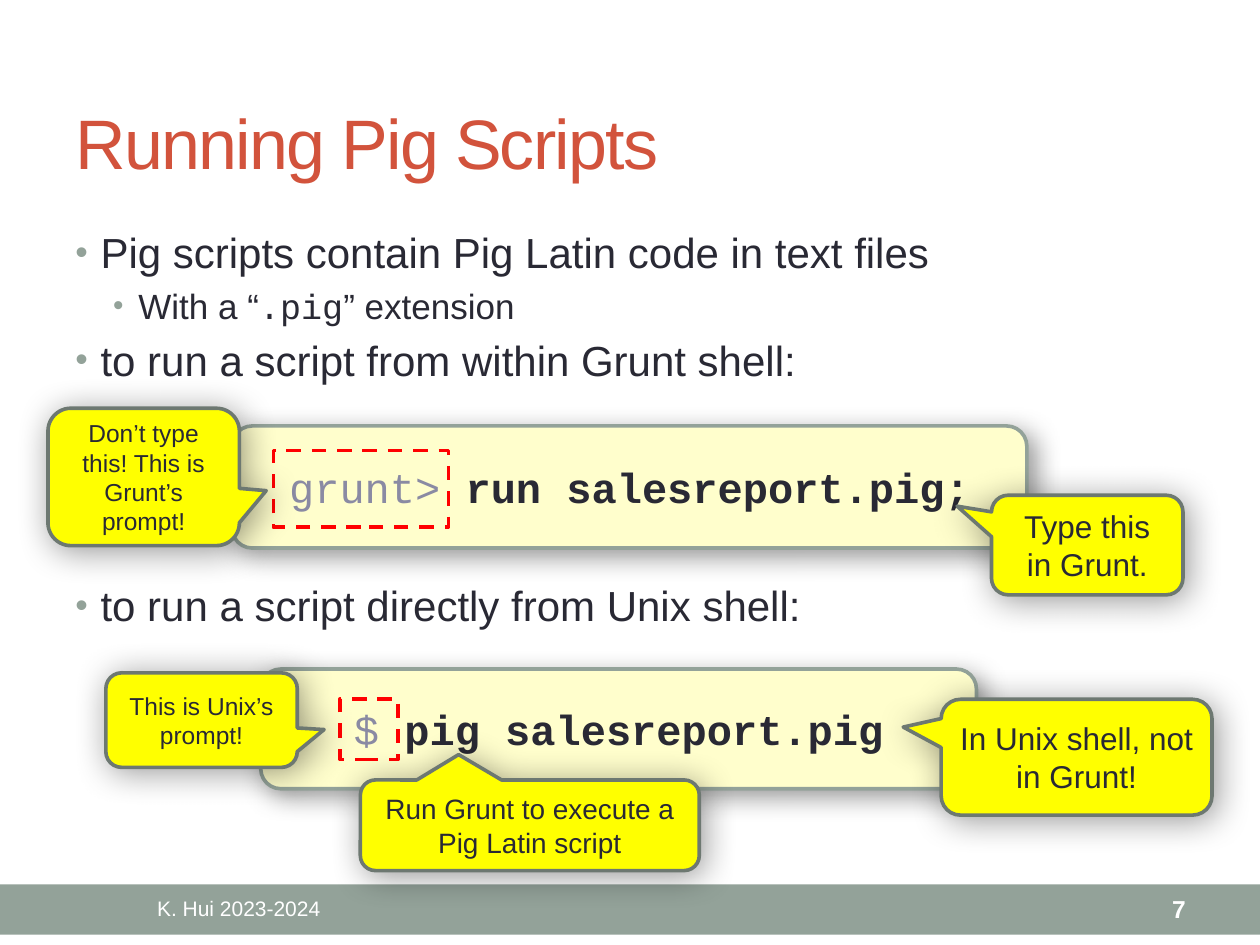
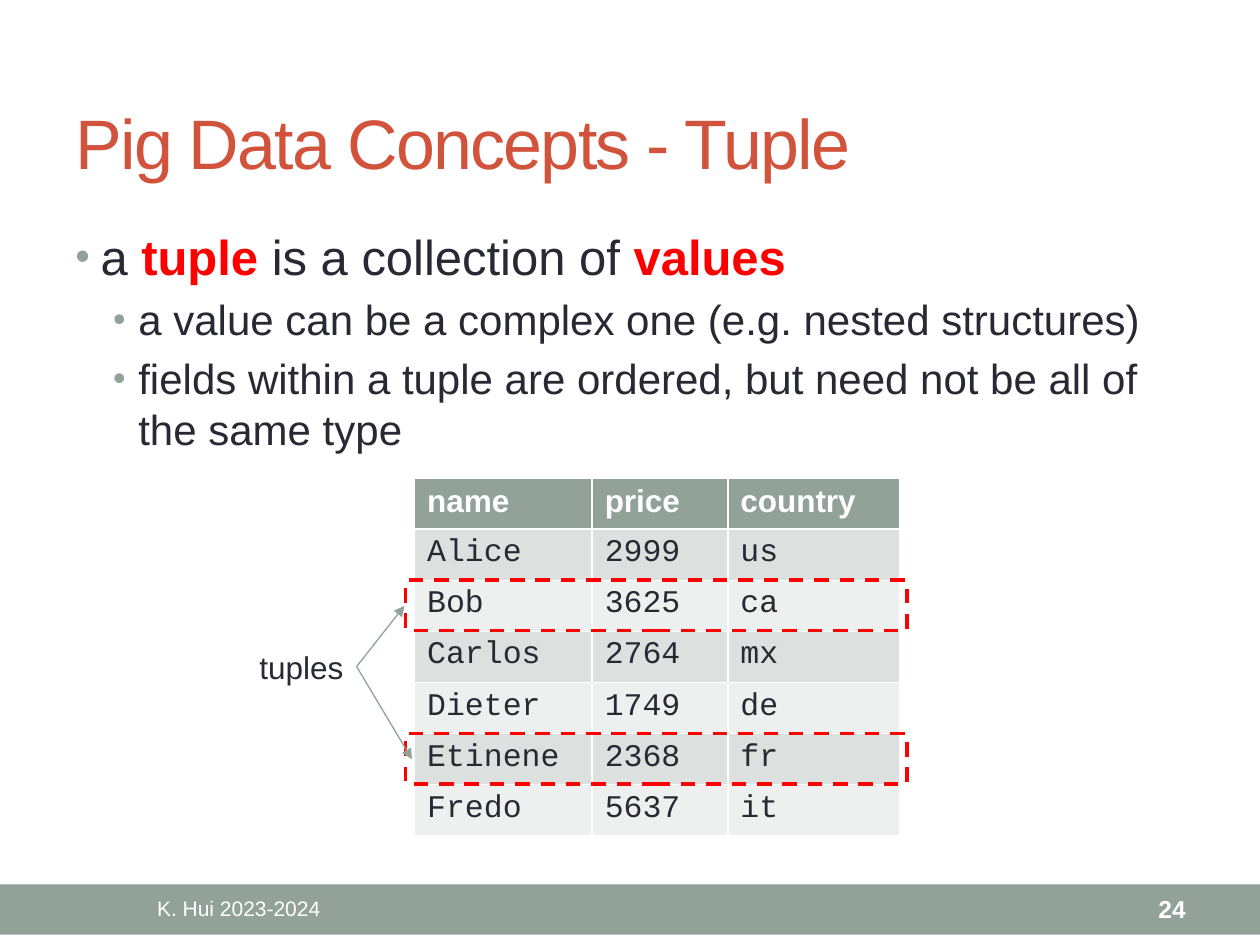
"""Build two lecture slides on running Pig scripts and on tuples."""
from dataclasses import dataclass

from lxml.etree import SubElement
from pptx import Presentation
from pptx.dml.color import RGBColor
from pptx.enum.dml import MSO_LINE
from pptx.enum.shapes import MSO_CONNECTOR, MSO_SHAPE
from pptx.enum.text import MSO_ANCHOR, PP_ALIGN
from pptx.oxml.ns import qn
from pptx.util import Pt


@dataclass(frozen=True)
class Theme:
    sans: str = "Arial"
    mono: str = "Courier New"
    ink: str = "292934"
    title: str = "D2533C"
    sage: str = "93A299"
    sage_dark: str = "6D7871"
    prompt: str = "8A8AA3"
    code_fill: str = "FFFECC"
    callout_fill: str = "FFFF00"
    alert: str = "FF0000"
    white: str = "FFFFFF"
    bands: tuple = ("DCE0DE", "EEF0EF")
    title_size: int = 40
    large_size: int = 28
    code_size: int = 24
    body_size: int = 24
    sub_size: int = 20
    label_size: int = 18
    note_size: int = 16
    small_size: int = 14
    footer_size: int = 12
    outline: float = 2.08
    hairline: float = 0.75


THEME = Theme()


def color(code):
    return RGBColor.from_string(code)


def points(*lengths):
    return [Pt(length) for length in lengths]


def style_font(font, size=None, ink=None, face=None, bold=None):
    if size:
        font.size = Pt(size)
    if ink:
        font.color.rgb = color(ink)
    if face:
        font.name = face
    if bold is not None:
        font.bold = bold


def write(paragraph, spans, size, ink=THEME.ink, face=THEME.sans, bold=False,
          align=PP_ALIGN.LEFT):
    """Fill a paragraph with plain strings or (string, font changes) pairs."""
    paragraph.alignment = align
    style_font(paragraph.font, size, ink, face, bold)
    for span in [spans] if isinstance(spans, str) else spans:
        words, changes = (span, {}) if isinstance(span, str) else span
        run = paragraph.add_run()
        run.text = words
        style_font(run.font, **changes)


def add_text(page, frame, spans, size, anchor=MSO_ANCHOR.MIDDLE, wrap=True, **style):
    box = page.shapes.add_textbox(*points(*frame))
    box.text_frame.word_wrap = wrap
    box.text_frame.vertical_anchor = anchor
    paragraph = box.text_frame.paragraphs[0]
    write(paragraph, spans, size, **style)
    return paragraph


def add_bullet_mark(paragraph, level):
    properties = paragraph._p.get_or_add_pPr()
    properties.set("marL", str(Pt(14.4 + 21.6 * level)))
    properties.set("indent", str(Pt(-14.4)))
    mark_color = SubElement(properties, qn("a:buClr"))
    SubElement(mark_color, qn("a:srgbClr"), val=THEME.sage)
    SubElement(properties, qn("a:buSzPct"), val="85000")
    SubElement(properties, qn("a:buFont"), typeface=THEME.sans)
    SubElement(properties, qn("a:buChar"), char="•")


def add_bullets(page, top, height, items):
    """Add a bulleted list of (level, size, spans) items."""
    box = page.shapes.add_textbox(*points(36, top, 648, height))
    text = box.text_frame
    text.word_wrap = True
    for number, (level, size, spans) in enumerate(items):
        paragraph = text.add_paragraph() if number else text.paragraphs[0]
        paragraph.level = level
        add_bullet_mark(paragraph, level)
        paragraph.space_before = Pt(0.2 * size)
        write(paragraph, spans, size)


def add_box(page, kind, frame, fill=None, line=None):
    box = page.shapes.add_shape(kind, *points(*frame))
    box.shadow.inherit = False
    if fill:
        box.fill.solid()
        box.fill.fore_color.rgb = color(fill)
    else:
        box.fill.background()
    if line:
        box.line.color.rgb = color(line)
        box.line.width = Pt(THEME.outline)
    else:
        box.line.fill.background()
    return box


def add_shadow(box, blur, distance):
    effects = box._element.spPr.find(qn("a:effectLst"))
    shadow = SubElement(effects, qn("a:outerShdw"), blurRad=str(Pt(blur)),
                        dist=str(Pt(distance)), dir="2700000", rotWithShape="0")
    shade = SubElement(shadow, qn("a:srgbClr"), val="000000")
    SubElement(shade, qn("a:alpha"), val="40000")


def fill_center(box, spans, size, **style):
    box.text_frame.word_wrap = True
    box.text_frame.vertical_anchor = MSO_ANCHOR.MIDDLE
    write(box.text_frame.paragraphs[0], spans, size, align=PP_ALIGN.CENTER, **style)


def add_code(page, frame, prompt, command):
    box = add_box(page, MSO_SHAPE.ROUNDED_RECTANGLE, frame, THEME.code_fill, THEME.sage)
    add_shadow(box, 15, 5)
    spans = [(prompt + " ", {"ink": THEME.prompt}), (command, {"bold": True})]
    fill_center(box, spans, THEME.code_size, face=THEME.mono)


def add_callout(page, frame, tip, words, size):
    """Add a speech balloon whose tip is given relative to its centre."""
    box = add_box(page, MSO_SHAPE.ROUNDED_RECTANGULAR_CALLOUT, frame,
                  THEME.callout_fill, THEME.sage_dark)
    box.adjustments[0], box.adjustments[1] = tip
    add_shadow(box, 20, 3)
    fill_center(box, words, size)


def add_highlight(page, frame):
    box = add_box(page, MSO_SHAPE.RECTANGLE, frame, line=THEME.alert)
    box.line.dash_style = MSO_LINE.DASH


def add_arrow(page, start, end):
    arrow = page.shapes.add_connector(MSO_CONNECTOR.STRAIGHT, *points(*start, *end))
    arrow.line.color.rgb = color(THEME.sage)
    arrow.line.width = Pt(THEME.hairline)
    SubElement(arrow.line._get_or_add_ln(), qn("a:tailEnd"), type="triangle")
    SubElement(arrow._element.spPr, qn("a:effectLst"))


def add_table(page, left, top, widths, row_height, rows):
    frame = page.shapes.add_table(len(rows), len(widths), *points(
        left, top, sum(widths), row_height * len(rows)))
    table = frame.table
    for column, width in zip(table.columns, widths):
        column.width = Pt(width)
    for number, values in enumerate(rows):
        table.rows[number].height = Pt(row_height)
        if number:
            fill = THEME.bands[(number - 1) % 2]
            style = {"face": THEME.mono}
        else:
            fill = THEME.sage
            style = {"ink": THEME.white, "bold": True}
        for cell, value in zip(table.rows[number].cells, values):
            cell.fill.solid()
            cell.fill.fore_color.rgb = color(fill)
            write(cell.text_frame.paragraphs[0], value, THEME.label_size, **style)


def add_page(deck, title, number):
    """Add a blank page with its title, footer band and page number."""
    page = deck.slides.add_slide(deck.slide_layouts[6])
    add_box(page, MSO_SHAPE.RECTANGLE, (0, 505.4, 720, 28.8), THEME.sage)
    heading = add_text(page, (36, 41.8, 648, 77.8), title, THEME.title_size,
                       ink=THEME.title)
    heading._p.get_or_add_pPr().get_or_add_defRPr().set("spc", "-100")
    heading.runs[0]._r.get_or_add_rPr().set("spc", "-100")
    add_text(page, (36, 506.2, 200.9, 25.9), "K. Hui 2023-2024", THEME.footer_size,
             ink=THEME.white, align=PP_ALIGN.CENTER)
    add_text(page, (600.5, 506.2, 84.2, 25.9), str(number), THEME.small_size,
             ink=THEME.white, bold=True, align=PP_ALIGN.RIGHT)
    return page


def build_scripts_page(deck):
    page = add_page(deck, "Running Pig Scripts", 7)
    add_code(page, (149, 382.3, 409, 68.4), "$", "pig salesreport.pig")
    add_code(page, (132.5, 243.4, 454.3, 69.8), "grunt>", "run salesreport.pig;")
    add_bullets(page, 126, 120.2, [
        (0, THEME.body_size, "Pig scripts contain Pig Latin code in text files"),
        (1, THEME.sub_size, ["With a “", (".pig", {"face": THEME.mono}), "” extension"]),
        (0, THEME.body_size, "to run a script from within Grunt shell:"),
    ])
    add_callout(page, (566.6, 283, 109.4, 56.9), (-0.68, -0.39),
                "Type this in Grunt.", THEME.label_size)
    add_callout(page, (537.8, 399.6, 154.8, 66.2), (-0.64, -0.26),
                "In Unix shell, not in Grunt!", THEME.label_size)
    add_highlight(page, (156.2, 257.4, 100.1, 43.9))
    add_callout(page, (27.4, 233.3, 109.4, 78.5), (0.64, 0.1),
                "Don’t type this! This is Grunt’s prompt!", THEME.small_size)
    add_highlight(page, (194.4, 399.4, 33.1, 34.6))
    add_callout(page, (60.5, 384.5, 109.4, 54), (0.64, 0.1),
                "This is Unix’s prompt!", THEME.small_size)
    add_callout(page, (205.9, 445.7, 193.7, 51.8), (-0.21, -0.78),
                "Run Grunt to execute a Pig Latin script", THEME.note_size)
    add_bullets(page, 327.6, 77.8, [
        (0, THEME.body_size, "to run a script directly from Unix shell:")])


def build_tuple_page(deck):
    page = add_page(deck, "Pig Data Concepts - Tuple", 24)
    key_term = {"ink": THEME.alert, "bold": True}
    add_bullets(page, 126, 146.9, [
        (0, THEME.large_size, ["a ", ("tuple", key_term), " is a collection of ",
                               ("values", key_term)]),
        (1, THEME.body_size, "a value can be a complex one (e.g. nested structures)"),
        (1, THEME.body_size, "fields within a tuple are ordered, but need not be "
                             "all of the same type"),
    ])
    top, row_height = 273.2, 29.2
    add_table(page, 236.9, top, (101.5, 77.5, 98.2), row_height, [
        ("name", "price", "country"),
        ("Alice", "2999", "us"),
        ("Bob", "3625", "ca"),
        ("Carlos", "2764", "mx"),
        ("Dieter", "1749", "de"),
        ("Etinene", "2368", "fr"),
        ("Fredo", "5637", "it"),
    ])
    tuple_rows = (2, 5)
    for row in tuple_rows:
        add_highlight(page, (231.8, top + row * row_height, 286.6, 28.8))
    add_text(page, (141.1, 366.5, 63.4, 28.8), "tuples", THEME.label_size,
             anchor=MSO_ANCHOR.TOP, wrap=False)
    for row, tip in zip(tuple_rows, (231.1, 235.4)):
        add_arrow(page, (203.8, 380.9), (tip, top + (row + 0.5) * row_height))


def main():
    deck = Presentation()
    deck.slide_width, deck.slide_height = points(720, 540)
    build_scripts_page(deck)
    build_tuple_page(deck)
    deck.save("out.pptx")


if __name__ == "__main__":
    main()
